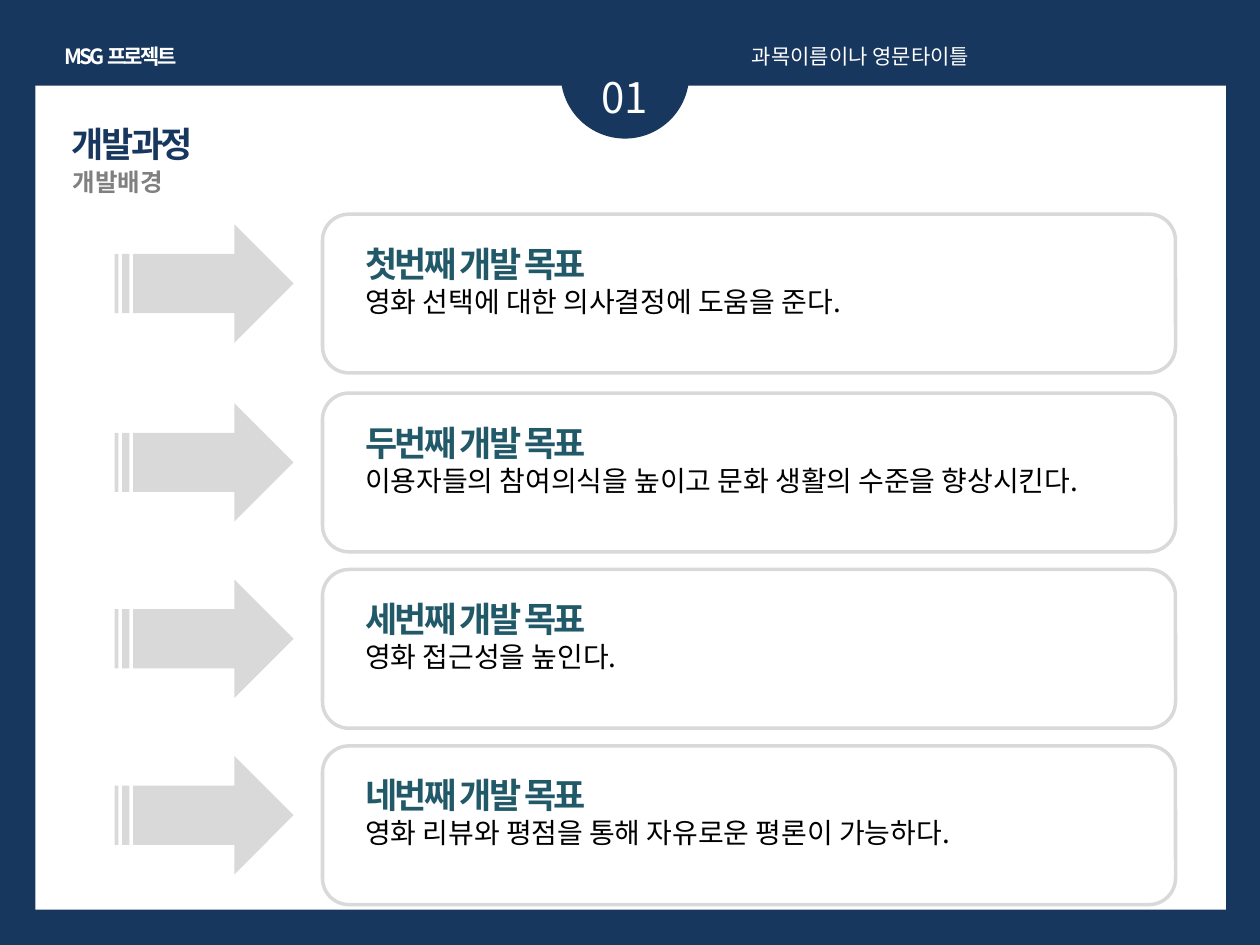
"""Build the project goals slide with four arrows and four outlined goal boxes."""
from dataclasses import dataclass
from typing import Optional

from pptx import Presentation, util as u
from pptx.dml.color import RGBColor
from pptx.enum import shapes, text
from pptx.oxml.ns import qn

FONT = "Noto Sans CJK KR"
NAVY, WHITE, SILVER = "17375E", "FFFFFF", "D9D9D9"
TEAL, GRAY, BLACK = "215968", "808080", "000000"


@dataclass
class Style:
    size: int
    color: str
    bold: bool = False
    spacing: float = 0


@dataclass
class Box:
    left: float
    top: float
    width: float
    height: float

    def lengths(self) -> list:
        return [u.Inches(n) for n in (self.left, self.top, self.width, self.height)]


@dataclass
class Goal:
    top: float
    heading: str
    detail: str


@dataclass
class Label:
    box: Box
    words: str
    style: Style
    align: text.PP_ALIGN
    wrap: bool = True


HEADING = Style(20, TEAL, True, -1.5)
DETAIL = Style(16, BLACK)
GOALS = [
    Goal(1.7, "첫번째 개발 목표", "영화 선택에 대한 의사결정에 도움을 준다."),
    Goal(3.12, "두번째 개발 목표", "이용자들의 참여의식을 높이고 문화 생활의 수준을 향상시킨다."),
    Goal(4.52, "세번째 개발 목표", "영화 접근성을 높인다."),
    Goal(5.92, "네번째 개발 목표", "영화 리뷰와 평점을 통해 자유로운 평론이 가능하다."),
]
LABELS = [
    Label(Box(4.37, 0.52, 1.18, 0.5), "01", Style(24, WHITE), text.PP_ALIGN.CENTER),
    Label(Box(0.38, 0.3, 1.15, 0.3), "MSG 프로젝트", Style(12, WHITE, True, -1.5),
          text.PP_ALIGN.CENTER, False),
    Label(Box(5.87, 0.3, 3.94, 0.3), "과목이름이나 영문타이틀", Style(12, WHITE),
          text.PP_ALIGN.JUSTIFY),
    Label(Box(0.48, 1.28, 3.54, 0.34), "개발배경", Style(14, GRAY, True), text.PP_ALIGN.LEFT),
]


def rgb(value: str) -> RGBColor:
    return RGBColor.from_string(value)


def add_run(paragraph, words: str, style: Style) -> None:
    run = paragraph.add_run()
    run.text = words
    font = run.font
    font.name, font.size, font.bold = FONT, u.Pt(style.size), style.bold
    font.color.rgb = rgb(style.color)
    properties = run._r.get_or_add_rPr()
    properties.set("spc", str(round(style.spacing * 100)))
    properties.find(qn("a:latin")).addnext(
        properties.makeelement(qn("a:ea"), {"typeface": FONT}))


def add_shape(slide, kind: shapes.MSO_SHAPE, box: Box,
              fill: Optional[str] = None, line: Optional[str] = None):
    shape = slide.shapes.add_shape(kind, *box.lengths())
    shape.shadow.inherit = False
    if fill:
        shape.fill.solid()
        shape.fill.fore_color.rgb = rgb(fill)
    else:
        shape.fill.background()
    if line:
        shape.line.color.rgb = rgb(line)
        shape.line.width = u.Pt(2)
    else:
        shape.line.fill.background()
    return shape


def add_frame(slide, box: Box, wrap: bool = True):
    frame = slide.shapes.add_textbox(*box.lengths()).text_frame
    frame.word_wrap = wrap
    frame.auto_size = text.MSO_AUTO_SIZE.SHAPE_TO_FIT_TEXT
    return frame


def add_label(slide, label: Label) -> None:
    paragraph = add_frame(slide, label.box, label.wrap).paragraphs[0]
    paragraph.alignment = label.align
    add_run(paragraph, label.words, label.style)


def add_goal(slide, goal: Goal) -> None:
    frame = add_frame(slide, Box(2.8, goal.top - 0.16, 6.3, 1.08))
    heading = frame.paragraphs[0]
    heading.line_spacing = 2.0
    add_run(heading, goal.heading, HEADING)
    add_run(frame.add_paragraph(), goal.detail, DETAIL)
    add_shape(slide, shapes.MSO_SHAPE.STRIPED_RIGHT_ARROW,
              Box(0.91, goal.top + 0.08, 1.42, 0.94), fill=SILVER)
    add_shape(slide, shapes.MSO_SHAPE.ROUNDED_RECTANGLE,
              Box(2.56, goal.top, 6.77, 1.26), line=SILVER)


def place_title(slide, words: str) -> None:
    title = slide.shapes.title
    title.left, title.top, title.width, title.height = Box(0.47, 0.92, 1.89, 0.44).lengths()
    frame = title.text_frame
    frame.word_wrap = True
    frame.auto_size = text.MSO_AUTO_SIZE.SHAPE_TO_FIT_TEXT
    frame.vertical_anchor = text.MSO_ANCHOR.TOP
    paragraph = frame.paragraphs[0]
    paragraph.alignment = text.PP_ALIGN.LEFT
    add_run(paragraph, words, Style(20, NAVY, True, -1.5))
    title.element.getparent().append(title.element)


def main() -> None:
    presentation = Presentation()
    presentation.slide_width, presentation.slide_height = u.Inches(10), u.Inches(7.5)
    slide = presentation.slides.add_slide(presentation.slide_layouts.get_by_name("Title Only"))
    slide.background.fill.solid()
    slide.background.fill.fore_color.rgb = rgb(NAVY)
    add_shape(slide, shapes.MSO_SHAPE.RECTANGLE, Box(0.28, 0.68, 9.45, 6.54), fill=WHITE)
    add_shape(slide, shapes.MSO_SHAPE.OVAL, Box(4.45, 0.08, 1.02, 1.02), fill=NAVY)
    place_title(slide, "개발과정")
    for label in LABELS:
        add_label(slide, label)
    for goal in GOALS:
        add_goal(slide, goal)
    presentation.save("out.pptx")


if __name__ == "__main__":
    main()
